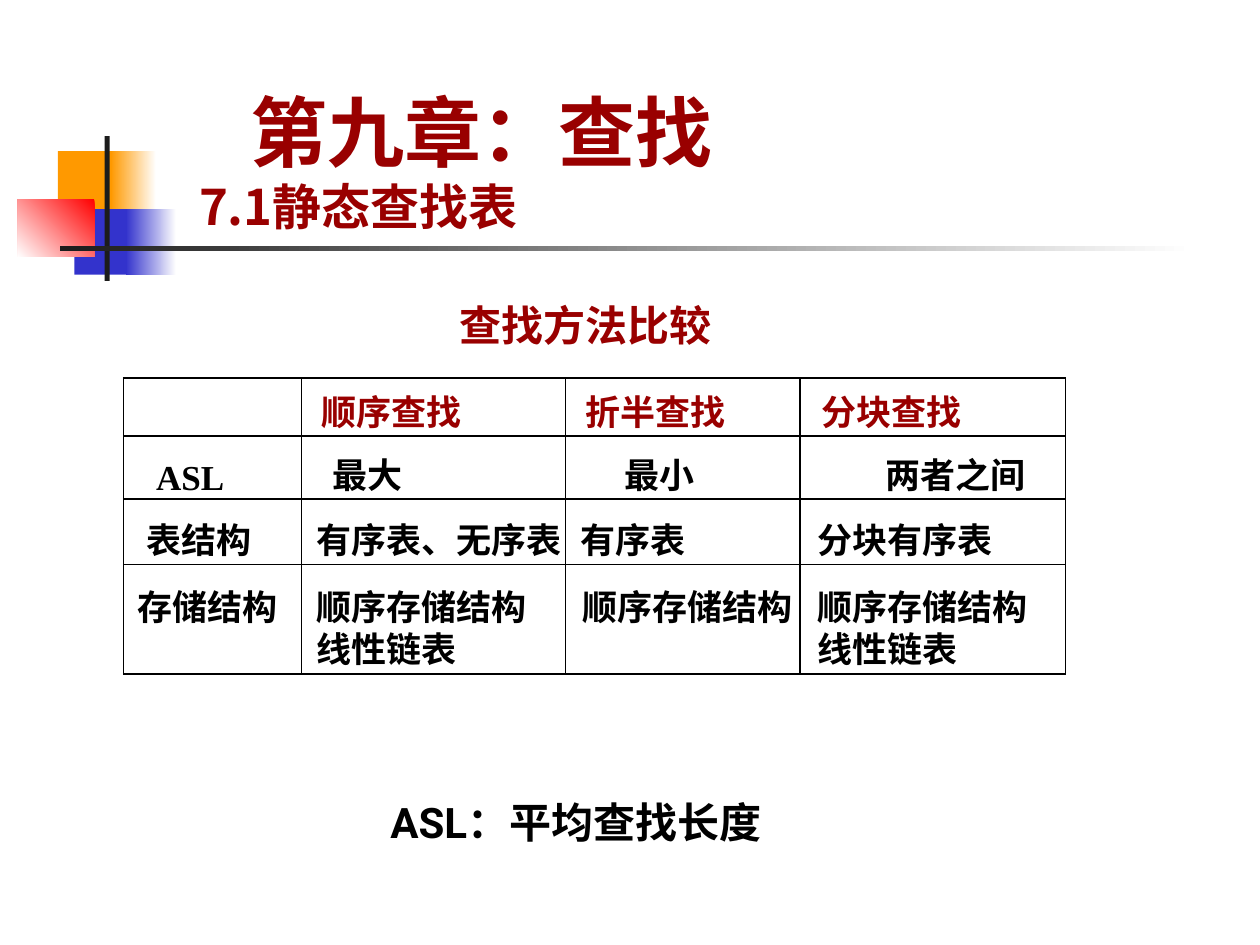
from pptx import Presentation
from pptx.dml.color import RGBColor
from pptx.enum.lang import MSO_LANGUAGE_ID as LANG
from pptx.enum.shapes import MSO_SHAPE
from pptx.enum.text import MSO_ANCHOR, MSO_AUTO_SIZE, PP_ALIGN
from pptx.oxml import parse_xml
from pptx.oxml.ns import nsdecls
from pptx.util import Inches, Pt

DARK_RED = RGBColor(0x99, 0x00, 0x00)
BLACK = RGBColor(0x00, 0x00, 0x00)
WHITE = RGBColor(0xFF, 0xFF, 0xFF)
ORANGE = RGBColor(0xFF, 0x99, 0x00)
BLUE = RGBColor(0x33, 0x33, 0xCC)
RED = RGBColor(0xFF, 0x00, 0x00)
INK = RGBColor(0x1C, 0x1C, 0x1C)

# Content
TITLE = [("第九章：查找", 44, 0.41), ("7.1静态查找表", 28, 0)]  # text, size, indent
LABELS = [  # text, box, font, colour
    ("查找方法比较", (3.55, 2.33, 2.2, 0.5), "Times New Roman", DARK_RED),
    ("ASL：平均查找长度", (3, 6.27, 3.23, 0.5), "Roboto", BLACK),
]
ROWS = [
    ["", "顺序查找", "折半查找", "分块查找"],
    ["ASL", "最大", "最小", "两者之间"],
    ["表结构", "有序表、无序表", "有序表", "分块有序表"],
    ["存储结构", "顺序存储结构\n线性链表", "顺序存储结构", "顺序存储结构\n线性链表"],
]

# Table layout
LINE_PITCH = Pt(24)
COL_EDGES = [0.98, 2.39, 4.49, 6.35, 8.46]
ROW_EDGES = [3, 3.46, 3.96, 4.48, 5.35]
TOP_MARGINS = [0.12, 0.16, 0.18, 0.19]
LEFT_MARGINS = [
    [0.1, 0.16, 0.16, 0.17],
    [0.26, 0.25, 0.47, 0.68],
    [0.18, 0.12, 0.12, 0.14],
    [0.11, 0.12, 0.13, 0.14],
]

# Ornament: box, colours (one is solid, two are a gradient), angle
ORNAMENT = [
    ((0.46, 1.2, 0.48, 0.52), [ORANGE], 0),
    ((0.88, 1.2, 0.36, 0.52), [WHITE, ORANGE], 180),
    ((0.59, 1.66, 0.46, 0.52), [BLUE], 0),
    ((1, 1.66, 0.4, 0.52), [WHITE, BLUE], 180),
    ((0.14, 1.58, 0.61, 0.46), [RED, WHITE], 225),
    ((0.83, 1.08, 0.04, 1.15), [INK], 0),
    ((0.48, 1.95, 9, 0.04), [WHITE, INK], 180),
]


def write(p, text, size, name, color):
    r = p.add_run()
    r.text = text
    values = dict(size=Pt(size), name=name, bold=True,
                  language_id=LANG.SIMPLIFIED_CHINESE)
    for key, value in values.items():
        setattr(r.font, key, value)
    r.font.color.rgb = color


def add_block(s, box, colors, angle):
    sp = s.shapes.add_shape(MSO_SHAPE.RECTANGLE, *map(Inches, box))
    sp.shadow.inherit = False
    sp.line.fill.background()
    if len(colors) == 1:
        sp.fill.solid()
        sp.fill.fore_color.rgb = colors[0]
        return
    sp.fill.gradient()
    sp.fill.gradient_angle = angle
    for stop, color in zip(sp.fill.gradient_stops, colors):
        stop.color.rgb = color


def add_borders(cell):
    tcPr = cell._tc.get_or_add_tcPr()
    for side in "LRTB":
        tcPr.append(parse_xml(
            f'<a:ln{side} {nsdecls("a")} w="{Pt(0.75)}"><a:solidFill>'
            f'<a:srgbClr val="{BLACK}"/></a:solidFill></a:ln{side}>'))


def sizes(edges):
    return [Inches(round(b - a, 2)) for a, b in zip(edges, edges[1:])]


prs = Presentation()
prs.slide_width, prs.slide_height = Inches(10), Inches(7.5)
s = prs.slides.add_slide(prs.slide_layouts[5])

for block in ORNAMENT:
    add_block(s, *block)

# Title
title = s.shapes.title
title.left, title.top, title.width, title.height = map(
    Inches, (1.48, 0.67, 8.52, 1.25))
tf = title.text_frame
tf.auto_size = MSO_AUTO_SIZE.NONE
tf.vertical_anchor = MSO_ANCHOR.BOTTOM
for i, (text, size, indent) in enumerate(TITLE):
    p = tf.add_paragraph() if i else tf.paragraphs[0]
    p.alignment = PP_ALIGN.LEFT
    p._p.get_or_add_pPr().set("marL", str(Inches(indent)))
    write(p, text, size, "Noto Sans CJK SC", DARK_RED)

# Caption and footnote
for text, box, font, color in LABELS:
    tf = s.shapes.add_textbox(*map(Inches, box)).text_frame
    tf.word_wrap = False
    write(tf.paragraphs[0], text, 24, font, color)

# Comparison table
widths, heights = sizes(COL_EDGES), sizes(ROW_EDGES)
table = s.shapes.add_table(
    len(ROWS), len(ROWS[0]), Inches(COL_EDGES[0]), Inches(ROW_EDGES[0]),
    sum(widths), sum(heights)).table
table.first_row = table.horz_banding = False
for column, width in zip(table.columns, widths):
    column.width = width
for i, row in enumerate(ROWS):
    table.rows[i].height = heights[i]
    for j, text in enumerate(row):
        cell = table.cell(i, j)
        add_borders(cell)
        cell.fill.background()
        cell.margin_left = Inches(LEFT_MARGINS[i][j])
        cell.margin_top = Inches(TOP_MARGINS[i])
        cell.margin_right = cell.margin_bottom = 0
        tf = cell.text_frame
        for k, line in enumerate(text.split("\n")):
            p = tf.add_paragraph() if k else tf.paragraphs[0]
            p.line_spacing = LINE_PITCH
            write(p, line, 20, "Times New Roman", BLACK if i else DARK_RED)

prs.save("out.pptx")
